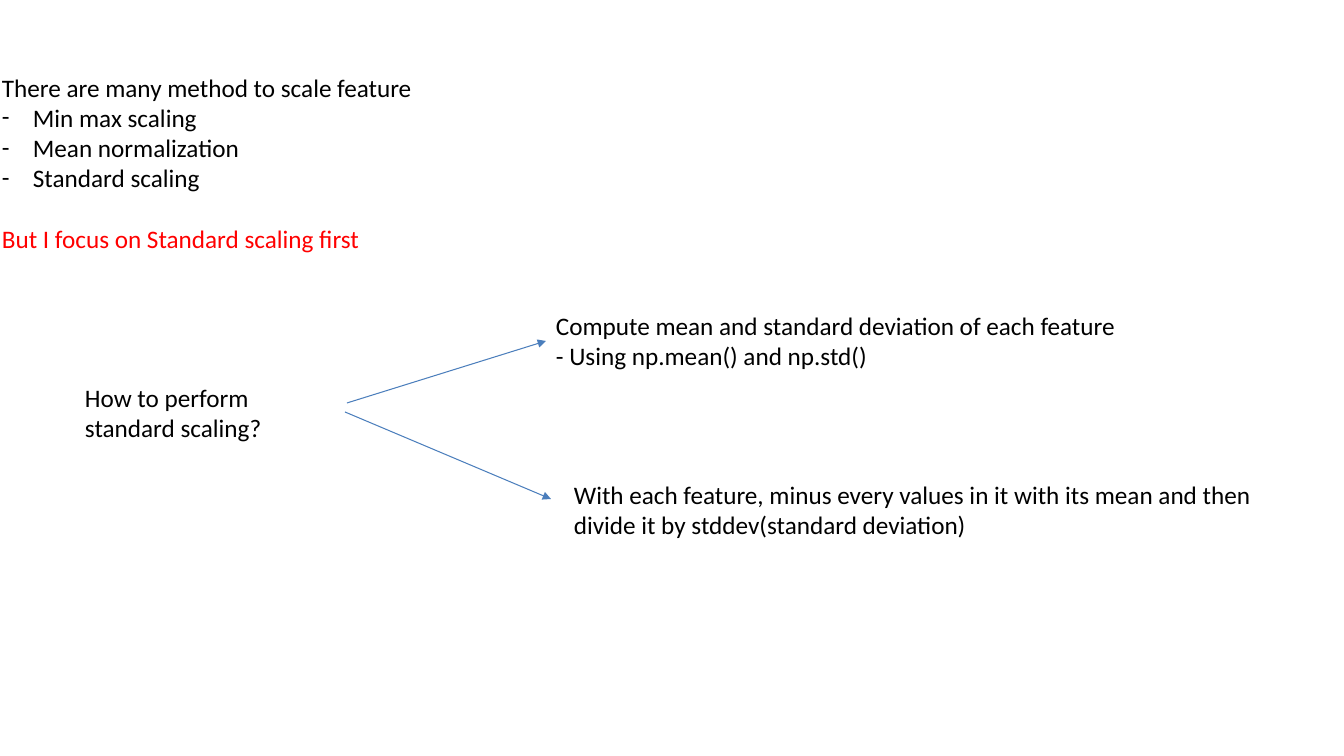
from lxml.etree import SubElement
from pptx import Presentation
from pptx.dml.color import RGBColor
from pptx.enum.shapes import MSO_CONNECTOR
from pptx.oxml.ns import qn
from pptx.util import Pt

PX = 914400 / 100.8
BLACK, RED, BLUE = "000000", "FF0000", "4B7EBC"


def px(length):
    """Turn whole pixels into EMU."""
    return round(length * PX)


def add_text(box, lines, color=BLACK):
    """Add a text box with one paragraph per line and return its paragraphs."""
    frame = slide.shapes.add_textbox(*map(px, box)).text_frame
    frame.word_wrap = True
    frame.text = "\n".join(lines)
    for paragraph in frame.paragraphs:
        paragraph.font.name = "Calibri"
        paragraph.font.size = Pt(18)
        paragraph.font.color.rgb = RGBColor.from_string(color)
    return frame.paragraphs


deck = Presentation()
deck.slide_width, deck.slide_height = px(1344), px(756)
slide = deck.slides.add_slide(deck.slide_layouts[6])

# Scaling methods
intro, *methods, focus = add_text((-8, 67, 530, 192), [
    "There are many method to scale feature",
    "Min max scaling",
    "Mean normalization",
    "Standard scaling",
    "But I focus on Standard scaling first",
])
for method in methods:
    properties = method._p.get_or_add_pPr()
    properties.set("marL", str(px(31)))
    properties.set("indent", str(px(-31)))
    SubElement(properties, qn("a:buFont"), typeface="Calibri")
    SubElement(properties, qn("a:buChar"), char="-")
focus.space_before = Pt(22)
focus.font.color.rgb = RGBColor.from_string(RED)

# Question and its two steps
add_text((75, 377, 218, 101), ["How to perform standard scaling?"])
add_text((546, 305, 715, 71), [
    "Compute mean and standard deviation of each feature",
    "- Using np.mean() and np.std()",
])
add_text((564, 474, 709, 101), [
    "With each feature, minus every values in it with its mean and then "
    "divide it by stddev(standard deviation)",
])

# Arrows from the question to each step
for ends in [(347, 403, 546, 341), (345, 412, 551, 499)]:
    arrow = slide.shapes.add_connector(MSO_CONNECTOR.STRAIGHT, *map(px, ends))
    arrow.line.color.rgb = RGBColor.from_string(BLUE)
    arrow.line.width = Pt(0.75)
    SubElement(arrow.line._get_or_add_ln(), qn("a:tailEnd"), type="triangle")
    SubElement(arrow._element.spPr, qn("a:effectLst"))

deck.save("out.pptx")
